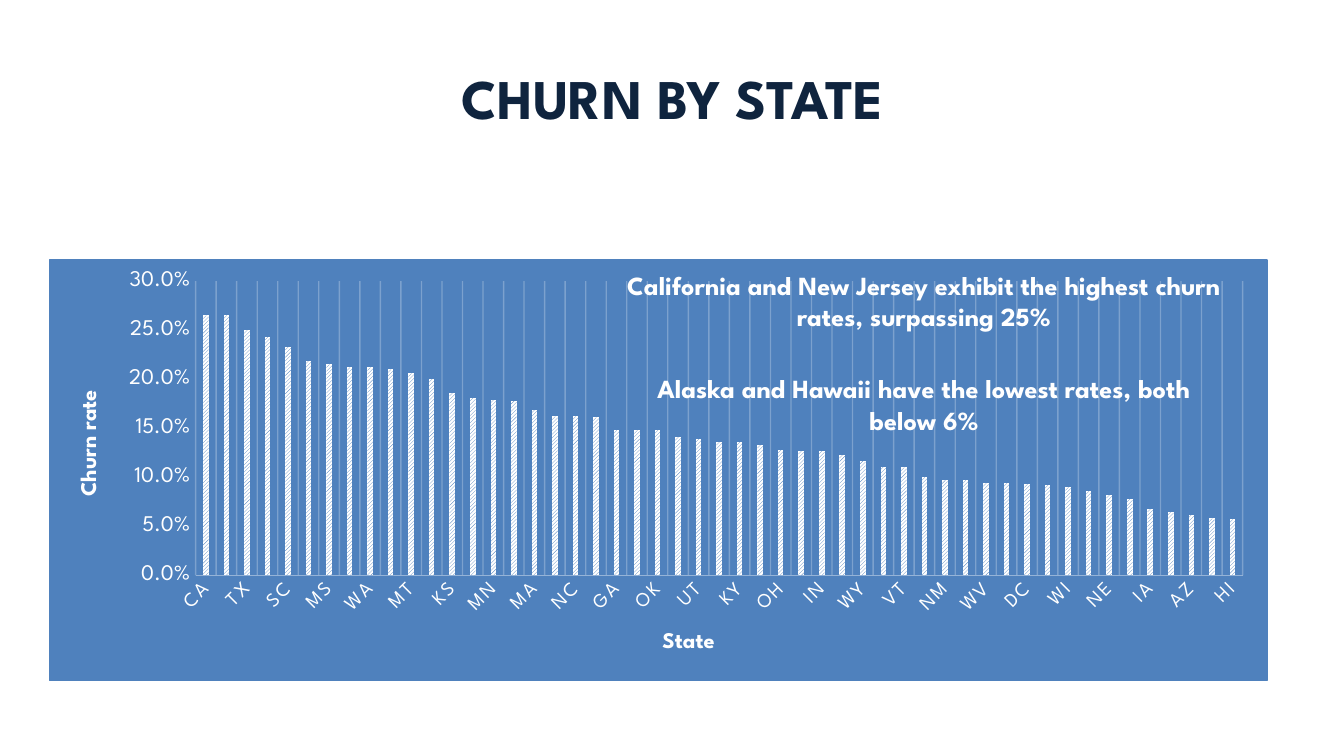
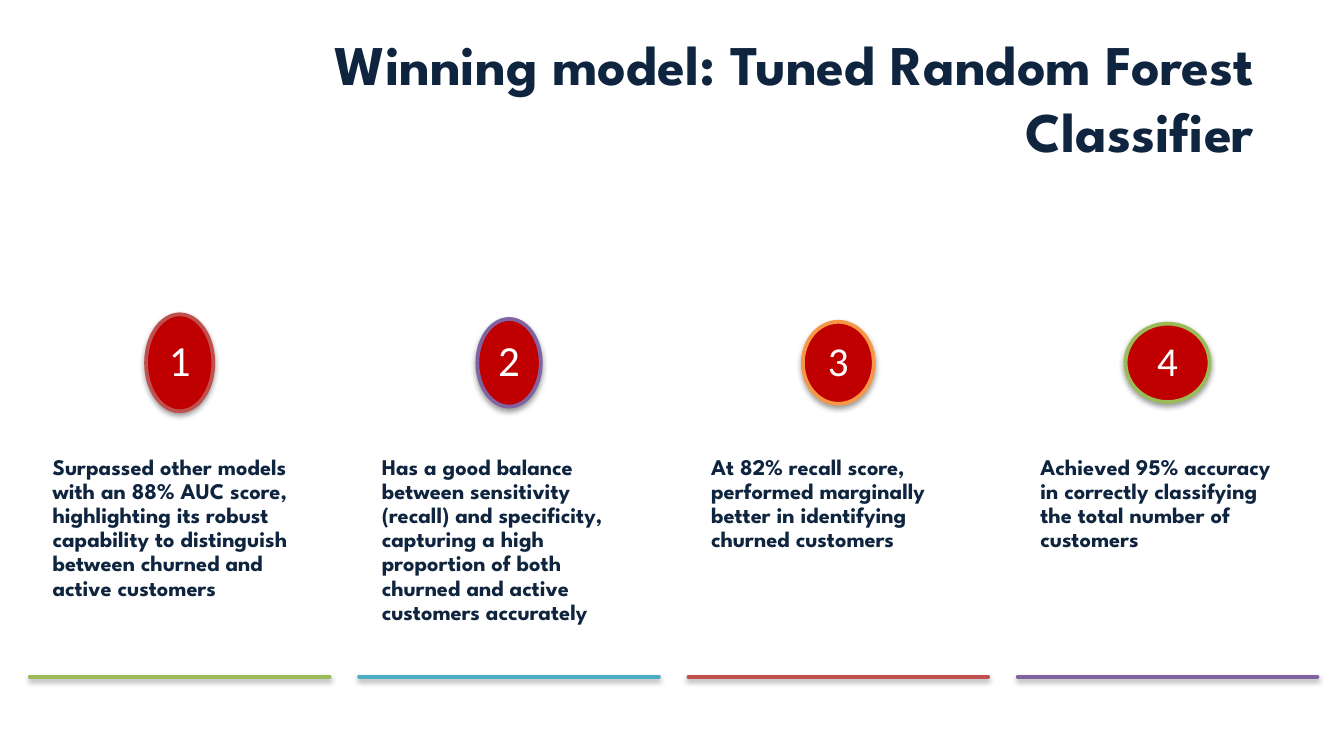
"""Build two slides: churn by state and the winning model."""
from dataclasses import dataclass
from typing import Any

from pptx import Presentation
from pptx.chart.data import CategoryChartData
from pptx.dml.color import RGBColor
from pptx.enum.chart import XL_CHART_TYPE, XL_TICK_MARK
from pptx.enum.dml import MSO_PATTERN
from pptx.enum.shapes import MSO_CONNECTOR, MSO_SHAPE
from pptx.enum.text import MSO_ANCHOR, PP_ALIGN
from pptx.oxml import parse_xml
from pptx.oxml.ns import nsdecls, qn
from pptx.util import Pt

NAVY = RGBColor(0x0F, 0x24, 0x3E)
WHITE = RGBColor(0xFF, 0xFF, 0xFF)
BLACK = RGBColor(0x00, 0x00, 0x00)
BLUE = RGBColor(0x4F, 0x81, 0xBD)
PALE_BLUE = RGBColor(0x95, 0xB3, 0xD7)
DARK_RED = RGBColor(0xC0, 0x00, 0x00)
RED = RGBColor(0xC0, 0x50, 0x4D)
PURPLE = RGBColor(0x80, 0x64, 0xA2)
ORANGE = RGBColor(0xF7, 0x96, 0x46)
GREEN = RGBColor(0x9B, 0xBB, 0x59)
AQUA = RGBColor(0x4B, 0xAC, 0xC6)

HEADING_FONT = "League Spartan"
BODY_FONT = "Calibri"

CARD_LEFT, CARD_STEP, CARD_WIDTH = 16, 176.4, 160.6
CARD_TOP, CARD_HEIGHT = 117.4, 266.4
CARD_TEXT_TOP, CARD_TEXT_HEIGHT = 218.2, 159.8
BADGE_MIDDLE, RULE_TOP = 194.4, 362.6

CHURN_BY_STATE = {
    "CA": 0.265, "NJ": 0.265, "TX": 0.25, "MD": 0.243, "SC": 0.233, "MI": 0.219,
    "MS": 0.215, "NV": 0.212, "WA": 0.212, "ME": 0.21, "MT": 0.206, "AR": 0.2,
    "KS": 0.186, "NY": 0.181, "MN": 0.179, "PA": 0.178, "MA": 0.169, "CT": 0.162,
    "NC": 0.162, "NH": 0.161, "GA": 0.148, "DE": 0.148, "OK": 0.148, "OR": 0.141,
    "UT": 0.139, "CO": 0.136, "KY": 0.136, "SD": 0.133, "OH": 0.128, "FL": 0.127,
    "IN": 0.127, "ID": 0.123, "WY": 0.117, "MO": 0.111, "VT": 0.11, "AL": 0.1,
    "NM": 0.097, "ND": 0.097, "WV": 0.094, "TN": 0.094, "DC": 0.093, "RI": 0.092,
    "WI": 0.09, "IL": 0.086, "NE": 0.082, "LA": 0.078, "IA": 0.068, "VA": 0.065,
    "AZ": 0.062, "AK": 0.058, "HI": 0.057,
}


@dataclass(frozen=True)
class TextStyle:
    """Look of a run of text."""

    size: float
    color: RGBColor
    name: str = HEADING_FONT
    bold: bool = True


@dataclass(frozen=True)
class Card:
    """One numbered reason with its badge and rule."""

    text: str
    badge_width: float
    badge_height: float
    number_size: float
    badge_color: RGBColor
    rule_color: RGBColor


TITLE = TextStyle(30, NAVY)
NOTE = TextStyle(14, WHITE)
REASON = TextStyle(12, NAVY)
AXIS_TITLE = TextStyle(12, WHITE)

CARDS = (
    Card("Surpassed other models with an 88% AUC score, highlighting its robust "
         "capability to distinguish between churned and active customers",
         36, 52, 23, RED, GREEN),
    Card("Has a good balance between sensitivity (recall) and specificity, capturing "
         "a high proportion of both churned and active customers accurately",
         34, 47, 23, PURPLE, AQUA),
    Card("At 82% recall score, performed marginally better in identifying churned "
         "customers", 38, 44, 22, ORANGE, RED),
    Card("Achieved 95% accuracy in correctly classifying the total number of customers",
         45, 42, 22, GREEN, PURPLE),
)


def apply_format(target: Any, values: dict[str, Any]) -> None:
    """Set each named attribute of the target."""
    for name, value in values.items():
        setattr(target, name, value)


def style_font(font: Any, style: TextStyle) -> None:
    """Give a font its typeface, size, weight and colour."""
    apply_format(font, {"name": style.name, "size": Pt(style.size), "bold": style.bold})
    font.color.rgb = style.color


def write(paragraph: Any, text: str, style: TextStyle, **values: Any) -> None:
    """Write one styled run into a paragraph."""
    run = paragraph.add_run()
    run.text = text
    style_font(run.font, style)
    apply_format(paragraph, values)


def set_frame(frame: Any, anchor: MSO_ANCHOR, side: float = 7.2, edge: float = 3.6) -> None:
    """Set wrapping, anchor and insets of a text frame."""
    apply_format(frame, {
        "word_wrap": True, "vertical_anchor": anchor,
        "margin_left": Pt(side), "margin_right": Pt(side),
        "margin_top": Pt(edge), "margin_bottom": Pt(edge),
    })


def set_opacity(element: Any, percent: int) -> None:
    """Make the first colour inside an element partly transparent."""
    color = next(element.iter(qn("a:srgbClr")))
    color.append(parse_xml(f'<a:alpha {nsdecls("a")} val="{percent * 1000}"/>'))


def add_shadow(shape: Any) -> None:
    """Give a shape or connector a soft shadow below it."""
    shape._element.spPr.append(parse_xml(
        f'<a:effectLst {nsdecls("a")}><a:outerShdw blurRad="{Pt(3.1)}" dist="{Pt(1.6)}" '
        'dir="5400000" rotWithShape="0"><a:srgbClr val="000000">'
        '<a:alpha val="38000"/></a:srgbClr></a:outerShdw></a:effectLst>'))


def add_title(slide: Any, text: str, alignment: PP_ALIGN) -> None:
    """Add the slide title."""
    box = slide.shapes.add_textbox(Pt(41.8), Pt(21.6), Pt(637.2), Pt(60.5))
    set_frame(box.text_frame, MSO_ANCHOR.MIDDLE)
    write(box.text_frame.paragraphs[0], text, TITLE, alignment=alignment)


def place(element: Any, index: int, target: str = "", **fractions: float) -> None:
    """Put a chart part at fractions of the chart area."""
    for layout in element.findall(qn("c:layout")):
        element.remove(layout)
    inner = f'<c:layoutTarget val="{target}"/>' if target else ""
    modes = "".join(f'<c:{key}Mode val="edge"/>' for key in ("x", "y"))
    values = "".join(f'<c:{key} val="{value}"/>' for key, value in fractions.items())
    element.insert(index, parse_xml(
        f'<c:layout {nsdecls("c")}><c:manualLayout>{inner}{modes}{values}'
        '</c:manualLayout></c:layout>'))


def style_axis(axis: Any, title: str, size: float, x: float, y: float) -> None:
    """Style an axis and place its title."""
    apply_format(axis, {"major_tick_mark": XL_TICK_MARK.NONE,
                        "minor_tick_mark": XL_TICK_MARK.NONE, "has_title": True})
    style_font(axis.tick_labels.font, TextStyle(size, WHITE, bold=False))
    write(axis.axis_title.text_frame.paragraphs[0], title, AXIS_TITLE)
    place(axis.axis_title._element, 1, x=x, y=y)


def add_churn_chart(slide: Any) -> None:
    """Add the column chart of churn rates."""
    data = CategoryChartData(number_format="0.0%")
    data.categories = list(CHURN_BY_STATE)
    data.add_series("Series 1", list(CHURN_BY_STATE.values()))
    chart = slide.shapes.add_chart(XL_CHART_TYPE.COLUMN_CLUSTERED, Pt(26.2), Pt(139),
                                   Pt(653), Pt(226), data).chart
    apply_format(chart, {"has_legend": False, "has_title": False})
    style_font(chart.font, TextStyle(10, BLACK, BODY_FONT, False))
    chart._chartSpace.find(qn("c:chart")).addnext(parse_xml(
        f'<c:spPr {nsdecls("c", "a")}><a:solidFill><a:srgbClr val="{BLUE}"/></a:solidFill>'
        f'<a:ln w="{Pt(0.75)}"><a:solidFill><a:srgbClr val="{BLUE}"/></a:solidFill></a:ln>'
        '</c:spPr>'))
    place(chart._chartSpace.chart.plotArea, 0, "inner", x=0.12, y=0.05, w=0.86, h=0.7)

    plot = chart.plots[0]
    apply_format(plot, {"gap_width": 269, "overlap": -20, "vary_by_categories": False})
    fill = plot.series[0].format.fill
    fill.patterned()
    fill.pattern = MSO_PATTERN.LIGHT_UPWARD_DIAGONAL
    fill.fore_color.rgb = BLUE
    fill.back_color.rgb = WHITE

    states = chart.category_axis
    style_axis(states, "State", 10.6, 0.5, 0.87)
    states.has_major_gridlines = True
    for line, color, width in ((states.format.line, PALE_BLUE, 0.25),
                               (states.major_gridlines.format.line, WHITE, 0.75)):
        line.color.rgb = color
        line.width = Pt(width)
    set_opacity(states._element.find(qn("c:majorGridlines")), 25)
    labels = states._element.find(qn("c:txPr"))
    labels.find(qn("a:bodyPr")).set("rot", "-2700000")
    next(labels.iter(qn("a:defRPr"))).set("spc", "120")

    rates = chart.value_axis
    style_axis(rates, "Churn rate", 12, 0.02, 0.3)
    apply_format(rates, {"has_major_gridlines": False, "minimum_scale": 0,
                         "maximum_scale": 0.3, "major_unit": 0.05})
    apply_format(rates.tick_labels, {"number_format": "0.0%",
                                     "number_format_is_linked": False})
    rates.format.line.fill.background()
    body = rates.axis_title.text_frame._txBody.find(qn("a:bodyPr"))
    body.set("rot", "-5400000")
    body.set("vert", "horz")


def add_churn_note(slide: Any) -> None:
    """Add the two findings over the chart."""
    box = slide.shapes.add_textbox(Pt(326.2), Pt(149.8), Pt(337.7), Pt(77.8))
    frame = box.text_frame
    set_frame(frame, MSO_ANCHOR.MIDDLE)
    findings = (
        (frame.paragraphs[0], 9,
         "California and New Jersey exhibit the highest churn rates, surpassing 25%"),
        (frame.add_paragraph(), 22, "Alaska and Hawaii have the lowest rates, both below 6%"),
    )
    for paragraph, space, text in findings:
        write(paragraph, text, NOTE, alignment=PP_ALIGN.CENTER, space_before=Pt(space))


def add_card(slide: Any, index: int, card: Card) -> None:
    """Add one card with panel, reason, numbered badge and rule."""
    shapes = slide.shapes.add_group_shape().shapes
    left = CARD_LEFT + index * CARD_STEP
    panel = shapes.add_shape(MSO_SHAPE.RECTANGLE, Pt(left), Pt(CARD_TOP),
                             Pt(CARD_WIDTH), Pt(CARD_HEIGHT))
    panel.fill.solid()
    panel.fill.fore_color.rgb = WHITE
    set_opacity(panel._element.spPr, 90)
    panel.line.fill.background()
    panel.shadow.inherit = False

    reason = shapes.add_textbox(Pt(left), Pt(CARD_TEXT_TOP), Pt(CARD_WIDTH),
                                Pt(CARD_TEXT_HEIGHT))
    set_frame(reason.text_frame, MSO_ANCHOR.TOP, 12.2, 26)
    write(reason.text_frame.paragraphs[0], card.text, REASON, line_spacing=0.9)

    badge = shapes.add_shape(
        MSO_SHAPE.OVAL, Pt(left + (CARD_WIDTH - card.badge_width) / 2),
        Pt(BADGE_MIDDLE - card.badge_height / 2), Pt(card.badge_width), Pt(card.badge_height))
    badge.fill.solid()
    badge.fill.fore_color.rgb = DARK_RED
    set_frame(badge.text_frame, MSO_ANCHOR.MIDDLE, 1.4, 0.7)
    write(badge.text_frame.paragraphs[0], str(index + 1),
          TextStyle(card.number_size, WHITE, BODY_FONT, False),
          alignment=PP_ALIGN.CENTER, line_spacing=0.9)

    rule = shapes.add_connector(MSO_CONNECTOR.STRAIGHT, Pt(left), Pt(RULE_TOP),
                                Pt(left + CARD_WIDTH), Pt(RULE_TOP))
    for shape, color in ((badge, card.badge_color), (rule, card.rule_color)):
        shape.line.color.rgb = color
        shape.line.width = Pt(2)
        add_shadow(shape)
    rule.line._get_or_add_ln().set("cap", "rnd")


def main() -> None:
    """Build and save the presentation."""
    presentation = Presentation()
    apply_format(presentation, {"slide_width": Pt(720), "slide_height": Pt(405)})
    blank = presentation.slide_layouts[6]

    churn = presentation.slides.add_slide(blank)
    add_title(churn, "CHURN BY STATE", PP_ALIGN.CENTER)
    add_churn_chart(churn)
    add_churn_note(churn)

    model = presentation.slides.add_slide(blank)
    add_title(model, "Winning model: Tuned Random Forest Classifier", PP_ALIGN.RIGHT)
    for index, card in enumerate(CARDS):
        add_card(model, index, card)

    presentation.save("out.pptx")


if __name__ == "__main__":
    main()
